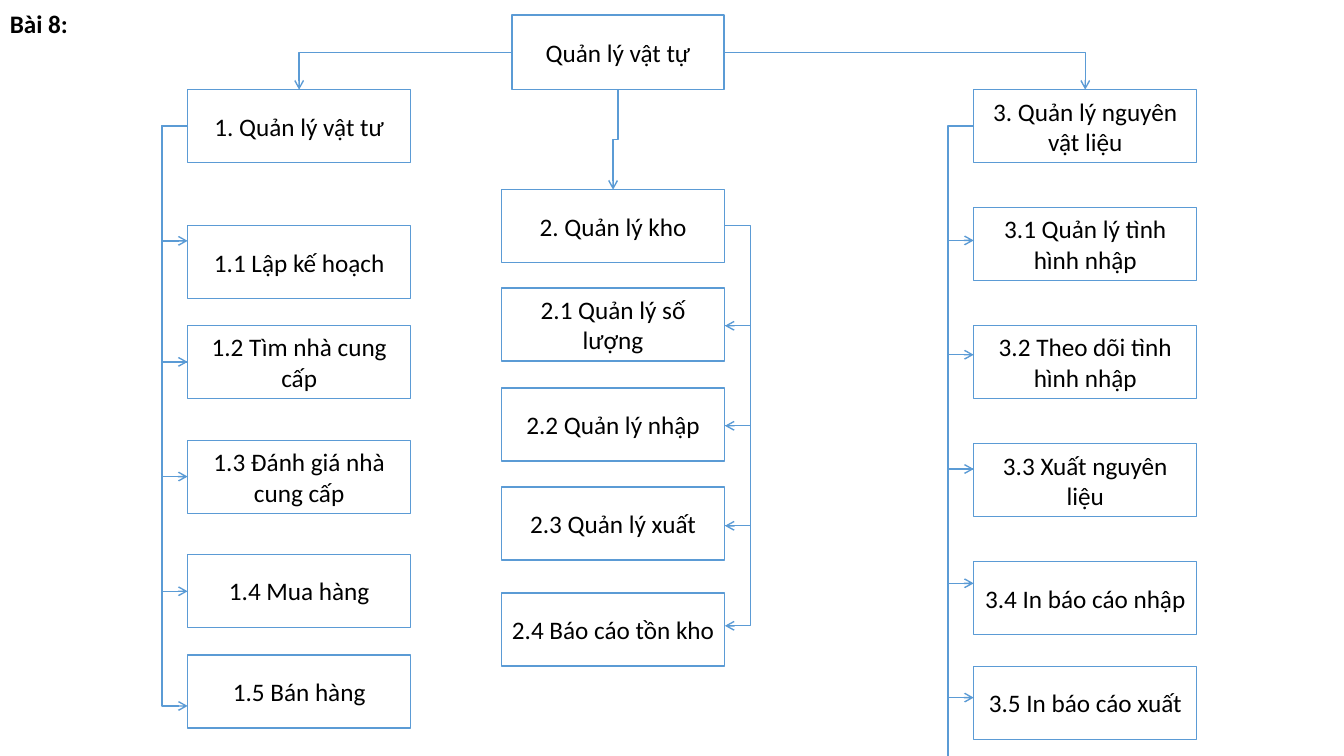
import itertools

import pptx
import pptx.dml.color
import pptx.enum.shapes
import pptx.enum.text
import pptx.oxml
import pptx.oxml.ns
import pptx.util

Cm = pptx.util.Cm

BOX_WIDTH, BOX_HEIGHT = 5.62, 1.84
STEM_OFFSET = 0.66
LEFT_X, MIDDLE_X, RIGHT_X = 4.73, 12.64, 24.54

SUPPLIES = [
    ("1. Quản lý vật tư", 2.26),
    ("1.1 Lập kế hoạch", 5.69),
    ("1.2 Tìm nhà cung cấp", 8.2),
    ("1.3 Đánh giá nhà cung cấp", 11.1),
    ("1.4 Mua hàng", 13.97),
    ("1.5 Bán hàng", 16.51),
]
WAREHOUSE = [
    ("2. Quản lý kho", 4.78),
    ("2.1 Quản lý số lượng", 7.26),
    ("2.2 Quản lý nhập", 9.78),
    ("2.3 Quản lý xuất", 12.27),
    ("2.4 Báo cáo tồn kho", 14.94),
]
MATERIALS = [
    ("3. Quản lý nguyên vật liệu", 2.26),
    ("3.1 Quản lý tình hình nhập", 5.23),
    ("3.2 Theo dõi tình hình nhập", 8.2),
    ("3.3 Xuất nguyên liệu", 11.18),
    ("3.4 In báo cáo nhập", 14.15),
    ("3.5 In báo cáo xuất", 16.79),
]


def color(hex_string):
    return pptx.dml.color.RGBColor.from_string(hex_string)


def add_xml(parent, tag, **attributes):
    """Append a DrawingML element to parent."""
    element = pptx.oxml.parse_xml(f"<a:{tag} {pptx.oxml.ns.nsdecls('a')}/>")
    for name, value in attributes.items():
        element.set(name, str(value))
    parent.append(element)


class Chart:
    """Draws the parts of the function tree on one slide."""

    font_name, font_size = "Calibri", 18
    text_color, line_color = "000000", "5B9BD5"

    def __init__(self, slide):
        self.slide = slide

    def set_text(self, shape, text, bold=False):
        shape.text_frame.text = text
        paragraph = shape.text_frame.paragraphs[0]
        font = paragraph.runs[0].font
        font.name = self.font_name
        font.size = pptx.util.Pt(self.font_size)
        font.bold = bold
        font.color.rgb = color(self.text_color)
        return paragraph

    def title(self, text, left, top, width, height):
        shape = self.slide.shapes.add_textbox(Cm(left), Cm(top), Cm(width), Cm(height))
        shape.text_frame.word_wrap = False
        shape.text_frame.auto_size = pptx.enum.text.MSO_AUTO_SIZE.SHAPE_TO_FIT_TEXT
        self.set_text(shape, text, bold=True)

    def box(self, text, left, top, width=BOX_WIDTH, height=BOX_HEIGHT):
        shape = self.slide.shapes.add_shape(
            pptx.enum.shapes.MSO_SHAPE.RECTANGLE, Cm(left), Cm(top), Cm(width), Cm(height))
        shape.shadow.inherit = False
        shape.fill.background()
        self.style_line(shape.line)
        shape.text_frame.word_wrap = True
        shape.text_frame.vertical_anchor = pptx.enum.text.MSO_ANCHOR.MIDDLE
        self.set_text(shape, text).alignment = pptx.enum.text.PP_ALIGN.CENTER
        return shape

    def column(self, entries, left):
        """Draw a column of boxes and return its heading box."""
        return [self.box(text, left, top) for text, top in entries][0]

    def style_line(self, line):
        line.color.rgb = color(self.line_color)
        line.width = pptx.util.Pt(1)

    def elbow(self, begin_x, begin_y, end_x, end_y):
        connector = self.slide.shapes.add_connector(
            pptx.enum.shapes.MSO_CONNECTOR.ELBOW, begin_x, begin_y, end_x, end_y)
        self.style_line(connector.line)
        properties = connector._element.spPr
        add_xml(properties.find(pptx.oxml.ns.qn("a:ln")), "tailEnd", type="arrow")
        add_xml(properties, "effectLst")
        return connector

    def bracket(self, x, begin_y, end_y, to_left):
        """Join two points on one side of a column by a stem beside it."""
        step = 0.01
        begin_x, end_x = (x + step, x) if to_left else (x, x + step)
        connector = self.elbow(Cm(begin_x), Cm(begin_y), Cm(end_x), Cm(end_y))
        guides = connector._element.spPr.prstGeom.get_or_add_avLst()
        ratio = round(STEM_OFFSET / step * 100000)
        add_xml(guides, "gd", name="adj1", fmla=f"val {ratio}")

    def join(self, parent, side, child):
        """Lead from a side of parent to the top of child."""
        connector = self.elbow(0, 0, 0, 0)
        connector.begin_connect(parent, side)
        connector.end_connect(child, 0)
        return connector

    def branch_sideways(self, parent, side, child):
        connector = self.join(parent, side, child)
        connector._element.spPr.prstGeom.set("prst", "bentConnector2")

    def branch_down(self, parent, child):
        """Bend down, across to the left, and down again."""
        connector = self.join(parent, 2, child)
        across, down = connector.width, connector.height
        center_x = connector.left + across // 2
        center_y = connector.top + down // 2
        connector.left, connector.top = center_x - down // 2, center_y - across // 2
        connector.width, connector.height = down, across
        transform = connector._element.spPr.xfrm
        transform.set("flipH", "0")
        transform.set("rot", str(90 * 60000))


def main():
    presentation = pptx.Presentation()
    presentation.slide_width, presentation.slide_height = Cm(33.87), Cm(19.05)
    chart = Chart(presentation.slides.add_slide(presentation.slide_layouts[6]))

    chart.title("Bài 8:", 0, 0.08, 2.34, 1.03)
    root = chart.box("Quản lý vật tự", 12.9, 0.38, 5.35, 1.88)
    supplies = chart.column(SUPPLIES, LEFT_X)
    warehouse = chart.column(WAREHOUSE, MIDDLE_X)
    materials = chart.column(MATERIALS, RIGHT_X)

    chart.branch_sideways(root, 1, supplies)
    chart.branch_down(root, warehouse)
    chart.branch_sideways(root, 3, materials)

    chart.bracket(LEFT_X, 3.18, 6.07, to_left=True)
    supply_stops = [3.18, 9.12, 12.01, 14.9, 17.79]
    warehouse_stops = [5.69 + 2.52 * i for i in range(5)]
    material_stops = [3.18 + 2.88 * i for i in range(7)]
    for x, stops, to_left in [
        (LEFT_X, supply_stops, True),
        (MIDDLE_X + BOX_WIDTH, warehouse_stops, False),
        (RIGHT_X, material_stops, True),
    ]:
        for begin_y, end_y in itertools.pairwise(stops):
            chart.bracket(x, begin_y, end_y, to_left)

    presentation.save("out.pptx")


if __name__ == "__main__":
    main()
